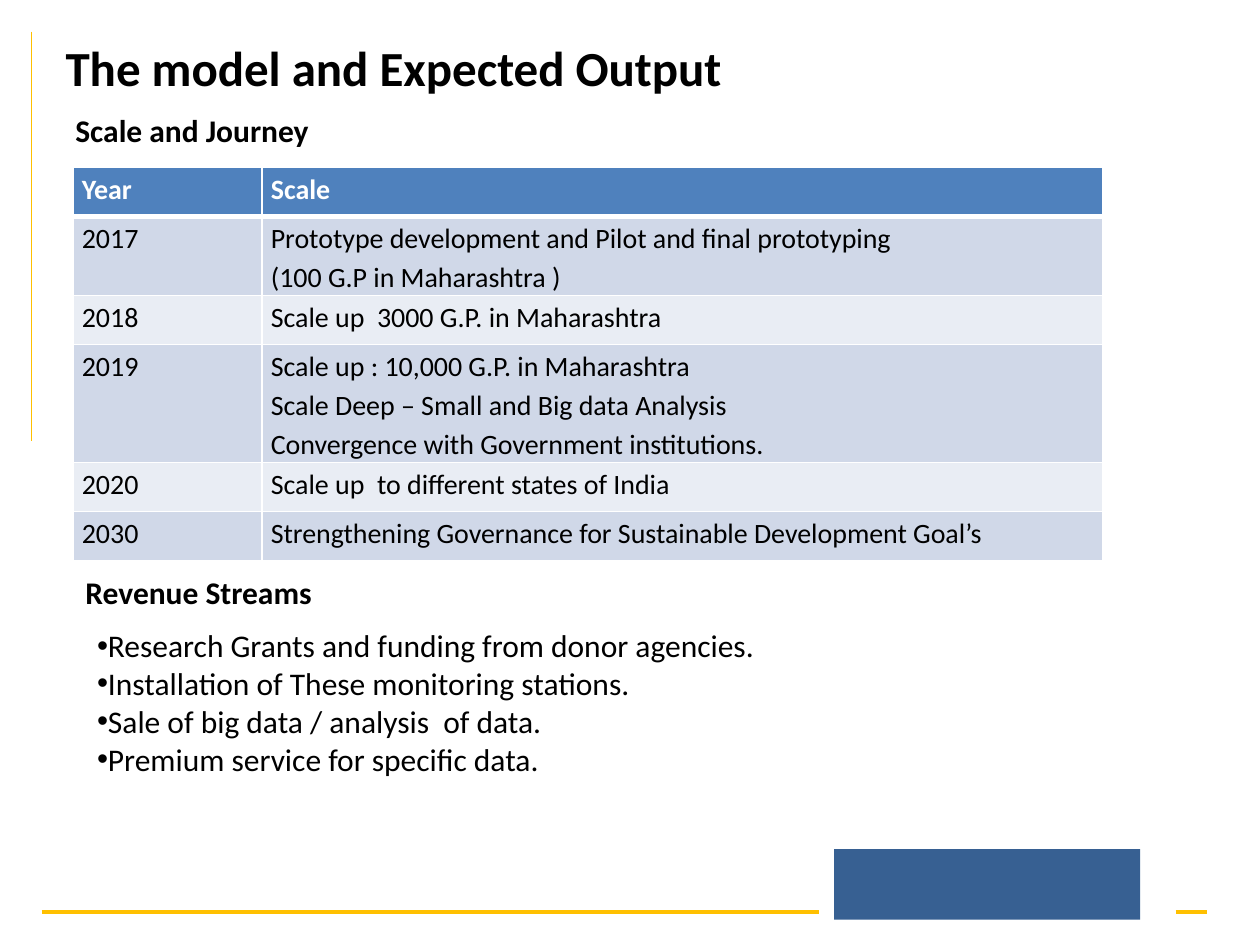
from dataclasses import dataclass

from lxml.etree import SubElement as Sub
from pptx import Presentation
from pptx.dml.color import RGBColor as RGB
from pptx.enum.shapes import MSO_CONNECTOR as Conn, MSO_SHAPE as Form
from pptx.enum.text import MSO_ANCHOR as Anchor, MSO_AUTO_SIZE as Auto, PP_ALIGN as Align
from pptx.oxml.ns import qn
from pptx.util import Inches, Pt


@dataclass(frozen=True)
class Theme:
    ink: str = "000000"
    white: str = "FFFFFF"
    gold: str = "FFC000"
    brand: str = "376092"
    head: str = "4F81BD"
    bands: tuple = ("D0D8E8", "E9EDF4")
    font: str = "Calibri"
    title: int = 28
    body: int = 18
    cell: int = 16


def write(frame, text, size, color, font, bold=False, gap=1.0, bullet=None):
    lines = text.split("\n")
    for i, line in enumerate(lines):
        para = frame.paragraphs[0] if i == 0 else frame.add_paragraph()
        para.alignment = Align.LEFT
        para.line_spacing = gap
        para.space_before = Pt(0)
        run = para.add_run()
        run.text = line
        run.font.size, run.font.name, run.font.bold = Pt(size), font, bold
        run.font.color.rgb = RGB.from_string(color)
        if bullet:
            props = para._p.get_or_add_pPr()
            props.set("marL", "0")
            props.set("indent", "0")
            Sub(props, qn("a:buFont"), typeface="Arial")
            Sub(props, qn("a:buChar"), char=bullet)


class Deck:
    """Draws styled elements on the current slide."""

    def __init__(self, show, style):
        self.style = style
        self.slide = show.slides.add_slide(show.slide_layouts[1])

    def fill(self, shape, box, text, **form):
        shape.left, shape.top, shape.width, shape.height = map(Inches, box)
        frame = shape.text_frame
        frame.auto_size = Auto.NONE
        frame.vertical_anchor = Anchor.TOP
        frame.word_wrap = True
        write(frame, text, **form)

    def title(self, box, text):
        s = self.style
        self.fill(self.slide.shapes.title, box, text,
                  size=s.title, color=s.ink, font=s.font, bold=True)

    def list(self, box, text):
        s = self.style
        self.fill(self.slide.placeholders[1], box, text,
                  size=s.body, color=s.ink, font=s.font, bullet="•")

    def label(self, box, text):
        s = self.style
        shape = self.slide.shapes.add_textbox(*map(Inches, box))
        self.fill(shape, box, text, size=s.body, color=s.ink, font=s.font, bold=True)

    def block(self, box):
        shape = self.slide.shapes.add_shape(Form.RECTANGLE, *map(Inches, box))
        shape.shadow.inherit = False
        shape.fill.solid()
        shape.fill.fore_color.rgb = RGB.from_string(self.style.brand)
        shape.line.fill.background()

    def line(self, ends, width):
        line = self.slide.shapes.add_connector(Conn.STRAIGHT, *map(Inches, ends))
        line.line.color.rgb = RGB.from_string(self.style.gold)
        line.line.width = Pt(width)
        Sub(line._element.spPr, qn("a:effectLst"))

    def edge(self, cell, side, width):
        props = cell._tc.get_or_add_tcPr()
        edge = Sub(props, qn(f"a:ln{side}"), w=str(Pt(width)))
        paint = Sub(edge, qn("a:solidFill"))
        Sub(paint, qn("a:srgbClr"), val=self.style.white)

    def table(self, box, cols, rows, data):
        s = self.style
        grid = self.slide.shapes.add_table(len(rows), len(cols), *map(Inches, box)).table
        for col, width in zip(grid.columns, cols):
            col.width = Inches(width)
        for r, (row, high) in enumerate(zip(grid.rows, rows)):
            row.height = Inches(high)
            top = r == 0
            for cell, text in zip(row.cells, data[r]):
                cell.margin_left = cell.margin_right = Inches(0.07)
                cell.margin_top = cell.margin_bottom = 0
                for side in "LRTB":
                    thick = (top and side == "B") or (r == 1 and side == "T")
                    self.edge(cell, side, 3 if thick else 1)
                cell.fill.solid()
                tint = s.head if top else s.bands[(r - 1) % 2]
                cell.fill.fore_color.rgb = RGB.from_string(tint)
                write(cell.text_frame, text, size=s.cell, font=s.font, bold=top,
                      color=s.white if top else s.ink, gap=1.15)


def main():
    show = Presentation()
    show.slide_width, show.slide_height = Inches(10), Inches(7.5)
    deck = Deck(show, Theme())

    for left, right in ((0.33, 6.5), (9.33, 9.58)):
        deck.line((left, 7.24, right, 7.24), 2.25)
    deck.line((0.25, 0.25, 0.25, 3.5), 0.75)
    deck.block((6.62, 6.74, 2.43, 0.56))

    deck.title((0.42, 0.25, 6.17, 1.04), "The model and Expected Output")
    deck.label((0.5, 0.83, 2.2, 0.4), "Scale and Journey")
    plan = [
        ("Year", "Scale"),
        ("2017", "Prototype development and Pilot and final prototyping\n"
                 "(100 G.P in Maharashtra )"),
        ("2018", "Scale up  3000 G.P. in Maharashtra"),
        ("2019", "Scale up : 10,000 G.P. in Maharashtra\n"
                 "Scale Deep – Small and Big data Analysis\n"
                 "Convergence with Government institutions."),
        ("2020", "Scale up  to different states of India"),
        ("2030", "Strengthening Governance for Sustainable Development Goal’s"),
    ]
    deck.table((0.58, 1.33, 8.17, 3.09), (1.5, 6.67),
               (0.39, 0.61, 0.39, 0.92, 0.39, 0.39), plan)

    deck.label((0.58, 4.5, 2.2, 0.4), "Revenue Streams")
    deck.list((0.67, 4.92, 6.08, 1.31),
              "Research Grants and funding from donor agencies.\n"
              "Installation of These monitoring stations.\n"
              "Sale of big data / analysis  of data.\n"
              "Premium service for specific data.")
    show.save("out.pptx")


if __name__ == "__main__":
    main()
